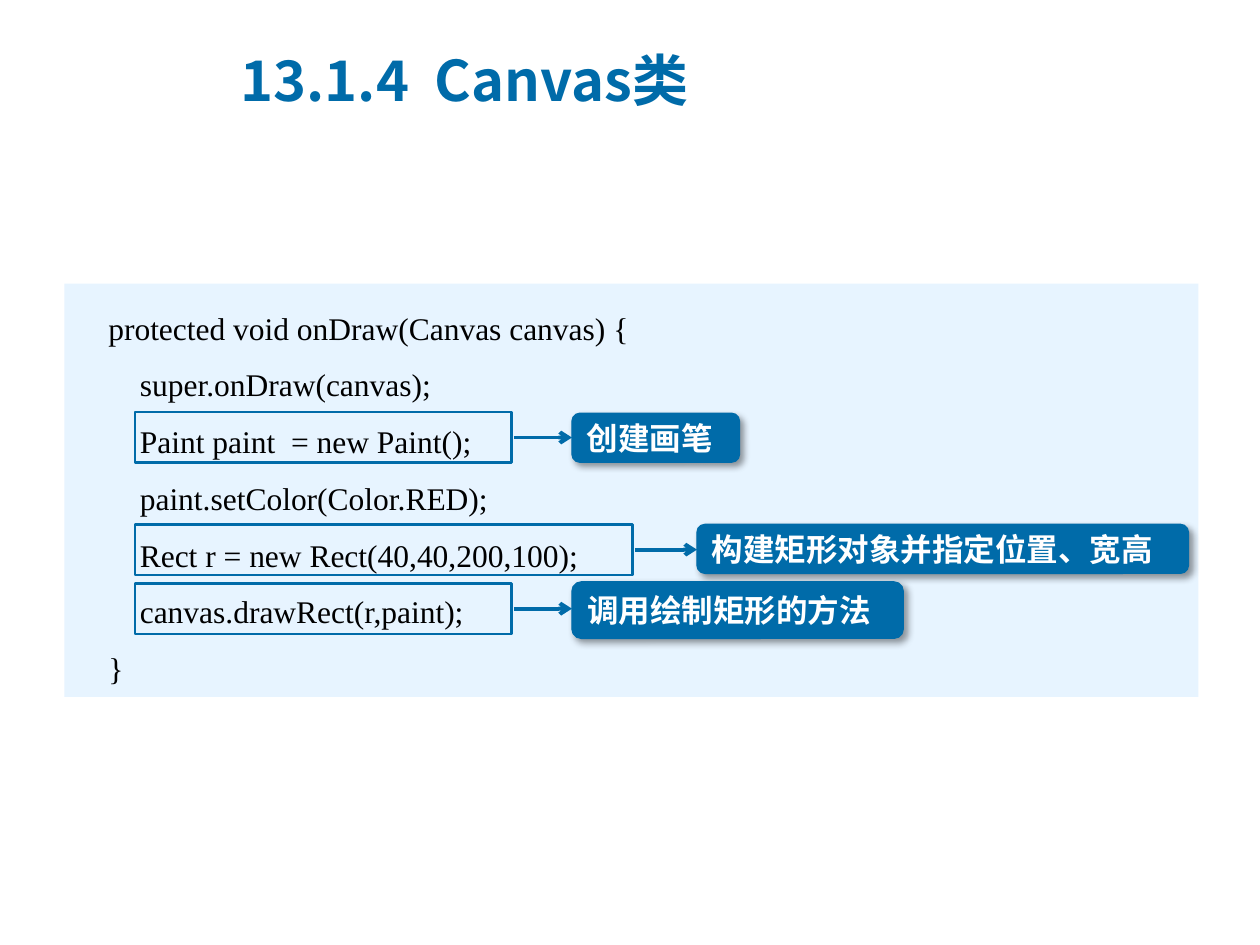
from pptx import Presentation
from pptx import util as u
from pptx.dml.color import RGBColor
from pptx.enum import shapes, text
from pptx.oxml import parse_xml
from pptx.oxml.ns import nsdecls, qn
from pptx.oxml.xmlchemy import OxmlElement

BLUE, PALE, WHITE, BLACK = "006BA9", "E7F4FF", "FFFFFF", "000000"
CJK_FONT = "Noto Sans CJK SC"
FRAME_LEFT, FRAME_HEIGHT, ARROW_GAP = 2.72, 1.02, 0.05
INDENT = 0.635

CODE = [
    (1, "protected void onDraw(Canvas canvas) {"),
    (2, "super.onDraw(canvas);"),
    (2, "Paint paint  = new Paint();"),
    (2, "paint.setColor(Color.RED);"),
    (2, "Rect r = new Rect(40,40,200,100);"),
    (2, "canvas.drawRect(r,paint);"),
    (1, "}"),
]

# frame top, frame width, callout box, callout wording
NOTES = [
    (8.31, 7.59, (11.53, 8.33, 3.38, 0.99), "创建画笔"),
    (10.57, 10.03, (14.05, 10.57, 9.91, 0.99), "构建矩形对象并指定位置、宽高"),
    (11.76, 7.59, (11.53, 11.73, 6.68, 1.14), "调用绘制矩形的方法"),
]


def color(value):
    return RGBColor.from_string(value)


def format_text(para, size, font, fill, bold=False):
    for span in para.runs:
        span.font.size = u.Pt(size)
        span.font.name = font
        span.font.bold = bold
        span.font.color.rgb = color(fill)
        east_asian = OxmlElement("a:ea")
        east_asian.set("typeface", CJK_FONT)
        span.font._element.append(east_asian)


def add_box(page, kind, place, fill=None, line=None, weight=0.75):
    box = page.shapes.add_shape(kind, *map(u.Cm, place))
    box.shadow.inherit = False
    if fill:
        box.fill.solid()
        box.fill.fore_color.rgb = color(fill)
    else:
        box.fill.background()
    if line:
        box.line.color.rgb = color(line)
        box.line.width = u.Pt(weight)
    else:
        box.line.fill.background()
    return box


def add_shadow(box):
    effects = box._element.spPr.find(qn("a:effectLst"))
    effects.append(parse_xml(
        f'<a:outerShdw {nsdecls("a")} blurRad="{u.Pt(4)}" dist="{u.Pt(3)}" '
        'dir="2700000" algn="tl" rotWithShape="0">'
        f'<a:srgbClr val="{BLACK}"><a:alpha val="40000"/></a:srgbClr></a:outerShdw>'))


def add_title(page, wording):
    box = page.shapes.add_textbox(*map(u.Cm, (4.6, 0.53, 14.3, 2.13)))
    frame = box.text_frame
    frame.word_wrap = True
    frame.vertical_anchor = text.MSO_ANCHOR.MIDDLE
    frame.text = wording
    format_text(frame.paragraphs[0], 32, CJK_FONT, BLUE, bold=True)


def add_code(page):
    box = add_box(page, shapes.MSO_SHAPE.RECTANGLE, (1.3, 5.72, 22.86, 8.33), PALE)
    frame = box.text_frame
    frame.vertical_anchor = text.MSO_ANCHOR.TOP
    frame.text = "\n".join(wording for level, wording in CODE)
    for para, (level, wording) in zip(frame.paragraphs, CODE):
        para.alignment = text.PP_ALIGN.LEFT
        para.line_spacing = 1.5
        para._p.get_or_add_pPr().set("marL", str(u.Cm(level * INDENT)))
        format_text(para, 18, "Times New Roman", BLACK)


def add_callout(page, place, wording):
    box = add_box(page, shapes.MSO_SHAPE.ROUNDED_RECTANGLE, place, BLUE, BLUE)
    add_shadow(box)
    frame = box.text_frame
    frame.vertical_anchor = text.MSO_ANCHOR.MIDDLE
    frame.text = wording
    frame.paragraphs[0].alignment = text.PP_ALIGN.LEFT
    format_text(frame.paragraphs[0], 18, "Calibri", WHITE, bold=True)


def add_arrow(page, start, end, height):
    arrow = page.shapes.add_connector(
        shapes.MSO_CONNECTOR.STRAIGHT, *map(u.Cm, (start, height, end, height)))
    arrow.line.color.rgb = color(BLUE)
    arrow.line.width = u.Pt(2.25)
    tail = OxmlElement("a:tailEnd")
    tail.set("type", "arrow")
    properties = arrow._element.spPr
    properties.find(qn("a:ln")).append(tail)
    properties.append(OxmlElement("a:effectLst"))


def main():
    deck = Presentation()
    deck.slide_width, deck.slide_height = u.Cm(25.4), u.Cm(19.05)
    page = deck.slides.add_slide(deck.slide_layouts[6])
    add_code(page)
    for top, width, callout, wording in NOTES:
        add_box(page, shapes.MSO_SHAPE.RECTANGLE,
                (FRAME_LEFT, top, width, FRAME_HEIGHT), line=BLUE, weight=1.5)
        add_callout(page, callout, wording)
        add_arrow(page, FRAME_LEFT + width + ARROW_GAP, callout[0],
                  top + FRAME_HEIGHT / 2)
    add_title(page, "13.1.4  Canvas类")
    deck.save("out.pptx")


if __name__ == "__main__":
    main()
